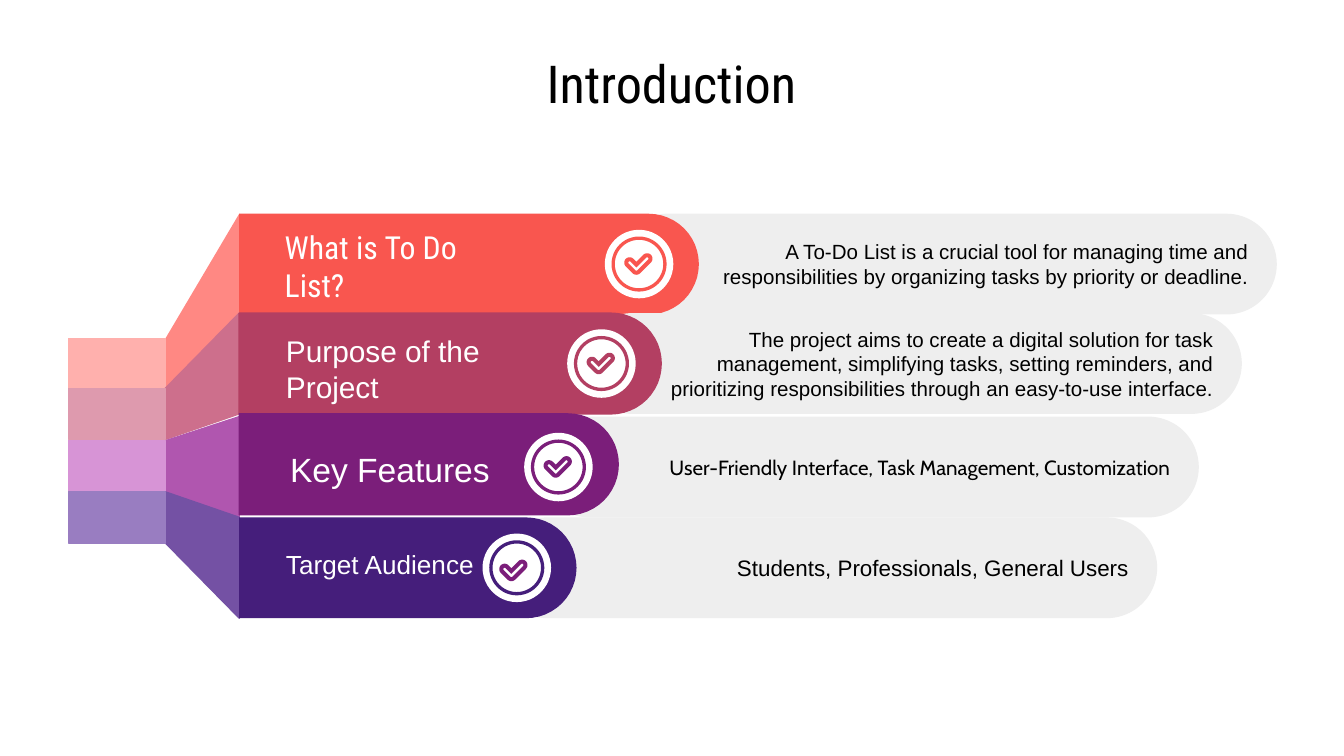
"""Build the introduction slide with four folded ribbons."""
from math import cos, radians, sin, sqrt

from pptx import Presentation
from pptx.dml.color import RGBColor
from pptx.enum import shapes, text
from pptx.util import Inches, Pt

BLACK = RGBColor(0, 0, 0)
WHITE = RGBColor(255, 255, 255)
GREY = RGBColor(0xEE, 0xEE, 0xEE)
CORAL = [RGBColor.from_string(c) for c in ("FFB0AD", "FF8883", "F9564F")]
ROSE = [RGBColor.from_string(c) for c in ("DE9AAE", "CD6F8C", "B33F62")]
PLUM = [RGBColor.from_string(c) for c in ("D794D6", "B056AF", "7B1E7A")]
INDIGO = [RGBColor.from_string(c) for c in ("997DC1", "7451A4", "451E7B")]

ROBOTO, ARIAL, CABIN = "Roboto Condensed", "Arial", "Cabin"
TITLE = "Introduction"
ROWS = [
    dict(label=("What is To Do List?", ROBOTO, 17), spot=(2.02, 1.78),
         body=("A To-Do List is a crucial tool for managing time and "
               "responsibilities by organizing tasks by priority or deadline.",
               ARIAL, 11),
         tints=CORAL, edges=(True, False, False), tab=2.52, top=1.59, bar=1.59,
         pill=4.59, right=5.2, disc=4.5, tick=CORAL[2], shift=(0, 0)),
    dict(label=("Purpose of the Project", ARIAL, 16), spot=(2.03, 2.54),
         body=("The project aims to create a digital solution for task "
               "management, simplifying tasks, setting reminders, and "
               "prioritizing responsibilities through an easy-to-use interface.",
               ARIAL, 11),
         tints=ROSE, edges=(True, True, True), tab=2.89, top=2.33, bar=2.33,
         pill=4.33, right=4.92, disc=4.22, tick=ROSE[2], shift=(0, 0)),
    dict(label=("Key Features", ARIAL, 18), spot=(2.06, 3.29),
         body=("User-Friendly Interface, Task Management, Customization",
               CABIN, 11),
         tints=PLUM, edges=(True, True, True), tab=3.28, top=3.1, bar=3.08,
         pill=4.01, right=4.6, disc=3.9, tick=PLUM[2], shift=(0, 0)),
    dict(label=("Target Audience", ARIAL, 14), spot=(2.03, 4),
         body=("Students, Professionals, General Users", ARIAL, 12),
         tints=INDIGO, edges=(True, True, False), tab=3.66, top=3.85, bar=3.85,
         pill=3.7, right=4.29, disc=3.59, tick=PLUM[2], shift=(-0.02, 0.02)),
]
LEFT, CREASE, FRONT = 0.51, 1.23, 1.78
HIGH, THIN, WIDE = 0.75, 0.38, 4.91
DISC, RING = 0.51, 0.41


def paint(shape, color, edge=False):
    shape.shadow.inherit = False
    shape.fill.solid()
    shape.fill.fore_color.rgb = color
    if edge:
        shape.line.color.rgb = color
        shape.line.width = Pt(0.75)
    else:
        shape.line.fill.background()


def write(shape, words, color, align, inset=0.1):
    line, font, size = words
    frame = shape.text_frame
    frame.text = line
    frame.word_wrap = True
    frame.vertical_anchor = text.MSO_ANCHOR.MIDDLE
    frame.margin_left = Inches(inset)
    frame.margin_right = frame.margin_top = frame.margin_bottom = Inches(0.1)
    para = frame.paragraphs[0]
    para.alignment = align
    face = para.runs[0].font
    face.name, face.size = font, Pt(size)
    face.color.rgb = color


def label(tree, words, box, color, align):
    write(tree.add_textbox(*map(Inches, box)), words, color, align)


def preset(tree, kind, box, color, edge=False):
    shape = tree.add_shape(kind, *map(Inches, box))
    paint(shape, color, edge)
    return shape


def outline(tree, loops, color, edge=False):
    loops = [[(Inches(x), Inches(y)) for x, y in loop] for loop in loops]
    pen = tree.build_freeform(*loops[0][0])
    pen.add_line_segments(loops[0][1:])
    for loop in loops[1:]:
        pen.move_to(*loop[0])
        pen.add_line_segments(loop[1:])
    paint(pen.convert_to_shape(), color, edge)


def arc(x, y, r, start, end, steps=24):
    turns = [radians(start + (end - start) * i / steps) for i in range(steps + 1)]
    return [(x + r * cos(t), y + r * sin(t)) for t in turns]


def check(x, y, r):
    return (arc(x - 0.07, y - 0.01, r, 135, 315)
            + [(x - 0.02, y + 0.04 - r * sqrt(2))]
            + arc(x + 0.06, y - 0.04, r, 225, 405)
            + arc(x - 0.02, y + 0.04, r, 45, 135))


def ribbon(tree, row):
    pale, mid, deep = row["tints"]
    flat, bent, bold = row["edges"]
    tab, top, bar, right = (row[k] for k in ("tab", "top", "bar", "right"))
    half = HIGH / 2
    pill = preset(tree, shapes.MSO_SHAPE.ROUNDED_RECTANGLE,
                  (row["pill"], top, WIDE, HIGH), GREY)
    pill.adjustments[0] = 0.5
    write(pill, row["body"], BLACK, text.PP_ALIGN.RIGHT, 0.2)
    outline(tree, [[(FRONT, top), (CREASE, tab), (CREASE, tab + THIN),
                    (FRONT, top + HIGH), (FRONT, top)]], mid, bent)
    curve = arc(right - half, bar + half, half, 90, -90)
    outline(tree, [[(FRONT, bar), (FRONT, bar + HIGH), *curve, (FRONT, bar)]],
            deep, bold)
    preset(tree, shapes.MSO_SHAPE.RECTANGLE,
           (LEFT, tab, CREASE - LEFT, THIN), pale, flat)
    x, y = row["disc"] + DISC / 2, top + half
    preset(tree, shapes.MSO_SHAPE.OVAL,
           (x - DISC / 2, y - DISC / 2, DISC, DISC), WHITE)
    ring = preset(tree, shapes.MSO_SHAPE.DONUT,
                  (x - RING / 2, y - RING / 2, RING, RING), deep)
    ring.adjustments[0] = 0.06
    dx, dy = row["shift"]
    outline(tree, [check(x + dx, y + dy, r) for r in (0.04, 0.01)], row["tick"])
    label(tree, row["label"], (*row["spot"], 1.96, 0.4), WHITE,
          text.PP_ALIGN.LEFT)


def main():
    deck = Presentation()
    deck.slide_width = Inches(10)
    deck.slide_height = deck.slide_width * 9 // 16
    slide = deck.slides.add_slide(deck.slide_layouts[6])
    label(slide.shapes, (TITLE, ROBOTO, 28), (0.77, 0.35, 8.45, 0.53), BLACK,
          text.PP_ALIGN.CENTER)
    for row in ROWS:
        ribbon(slide.shapes.add_group_shape().shapes, row)
    deck.save("out.pptx")


if __name__ == "__main__":
    main()
